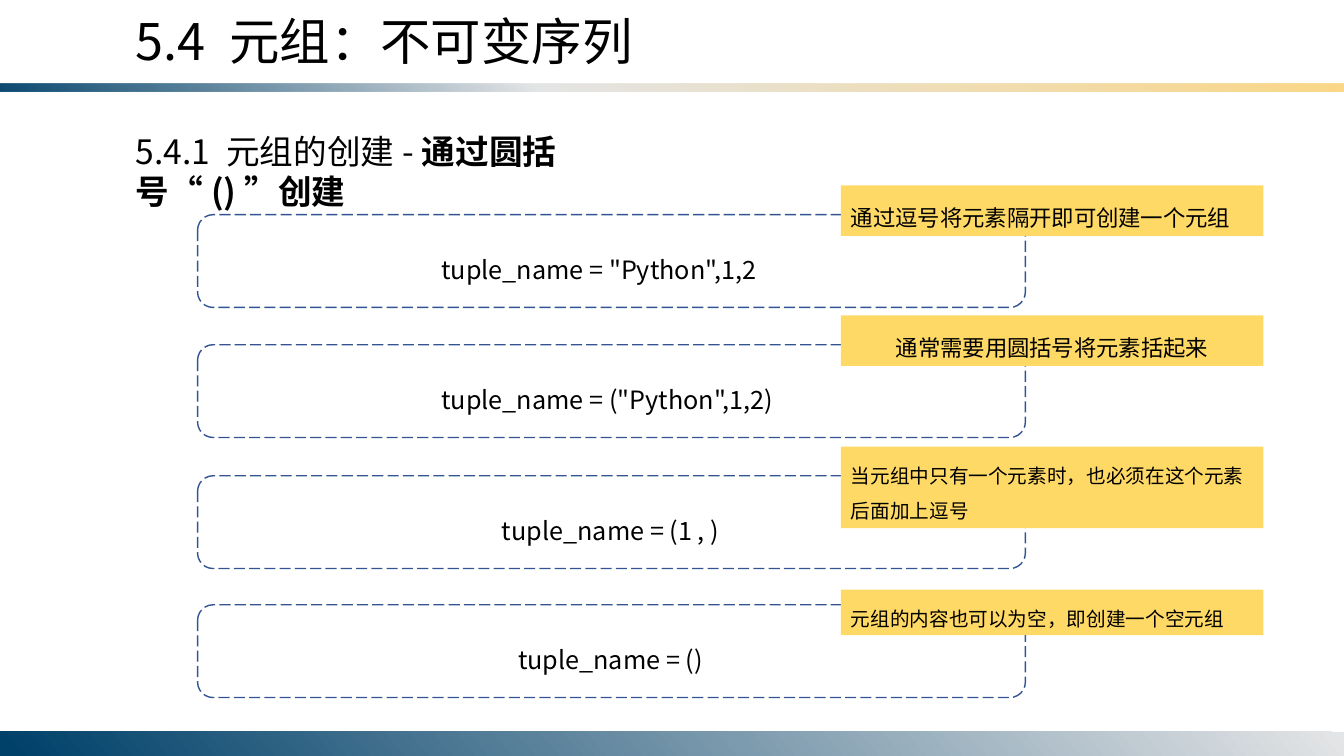
from lxml import etree
from pptx import Presentation
from pptx.dml.color import RGBColor
from pptx.enum.dml import MSO_LINE
from pptx.enum.shapes import MSO_SHAPE
from pptx.enum.text import MSO_AUTO_SIZE, PP_ALIGN
from pptx.oxml import parse_xml
from pptx.oxml.ns import nsdecls, qn
from pptx.util import Inches, Pt

RECTANGLE = MSO_SHAPE.RECTANGLE
ROUNDED = MSO_SHAPE.ROUNDED_RECTANGLE
LONG_DASH = MSO_LINE.LONG_DASH
FIT_SHAPE = MSO_AUTO_SIZE.SHAPE_TO_FIT_TEXT
LEFT, CENTER = PP_ALIGN.LEFT, PP_ALIGN.CENTER
FONT = "Noto Sans CJK SC"

deck = Presentation()
deck.slide_width, deck.slide_height = Inches(13.33), Inches(7.5)
page = deck.slides.add_slide(deck.slide_layouts[6])


def add_bar(top, height, stops, angle):
    """Full-width bar with a gradient of (percent, colour, opacity) stops."""
    bar = page.shapes.add_shape(RECTANGLE, 0, Inches(top), deck.slide_width, Inches(height))
    bar.shadow.inherit = False
    bar.line.fill.background()
    bar.fill.gradient()
    stop_xml = "".join(
        f'<a:gs pos="{percent * 1000}"><a:srgbClr val="{colour}">'
        f'<a:alpha val="{opacity * 1000}"/></a:srgbClr></a:gs>'
        for percent, colour, opacity in stops)
    gradient = parse_xml(
        f'<a:gradFill {nsdecls("a")} rotWithShape="1"><a:gsLst>{stop_xml}</a:gsLst>'
        f'<a:lin ang="{angle * 60000}" scaled="0"/></a:gradFill>')
    properties = bar._element.spPr
    properties.replace(properties.find(qn("a:gradFill")), gradient)
    return bar


def write(box, parts, size, spacing=1.0, align=LEFT):
    """Fill a box with one paragraph of (text, bold) parts."""
    frame = box.text_frame
    frame.word_wrap = True
    frame.auto_size = FIT_SHAPE
    para = frame.paragraphs[0]
    para.alignment = align
    para.line_spacing = spacing
    for text, bold in parts:
        span = para.add_run()
        span.text = text
        span.font.size = Pt(size)
        span.font.bold = bold
        span.font.name = FONT
        span.font.color.rgb = RGBColor.from_string("000000")
        properties = span.font._element
        properties.set("lang", "zh-CN")
        etree.SubElement(properties, qn("a:ea")).set("typeface", FONT)


# Header and footer bars
header = add_bar(0.83, 0.08, [(0, "00416A", 95), (40, "E4E5E6", 100), (100, "FBD786", 100)], 50)
header._element.spPr.find(qn("a:xfrm")).set("flipV", "1")
add_bar(7.26, 0.24, [(0, "E4E5E6", 100), (99, "00416A", 100)], 140)

# Title and section heading
title = page.shapes.add_textbox(Inches(1.25), Inches(0.05), Inches(6.12), Inches(0.71))
write(title, [("5.4 元组：不可变序列", False)], 36)
heading = page.shapes.add_textbox(Inches(1.25), Inches(1.25), Inches(5.65), Inches(0.5))
write(heading, [("5.4.1 元组的创建-", False), ("通过圆括号“()”创建", True)], 24)

# Examples: frame top, code, code left, code width,
# note, note top, note height, note size, note alignment
examples = [
    (2.13, 'tuple_name = "Python",1,2', 4.28, 3.57,
     "通过逗号将元素隔开即可创建一个元组", 1.84, 0.5, 16, LEFT),
    (3.42, 'tuple_name = ("Python",1,2)', 4.28, 3.57,
     "通常需要用圆括号将元素括起来", 3.13, 0.5, 16, CENTER),
    (4.72, "tuple_name = (1 , )", 4.88, 2.49,
     "当元组中只有一个元素时，也必须在这个元素后面加上逗号", 4.43, 0.81, 14, LEFT),
    (6.0, "tuple_name = ()", 5.04, 2.17,
     "元组的内容也可以为空，即创建一个空元组", 5.85, 0.45, 14, LEFT),
]
for top, code, code_left, code_width, note, note_top, note_height, note_size, align in examples:
    outline = page.shapes.add_shape(ROUNDED, Inches(1.96), Inches(top), Inches(8.21), Inches(0.92))
    outline.shadow.inherit = False
    outline.fill.background()
    outline.line.color.rgb = RGBColor.from_string("325491")
    outline.line.width = Pt(1)
    outline.line.dash_style = LONG_DASH

    code_box = page.shapes.add_textbox(
        Inches(code_left), Inches(top + 0.19), Inches(code_width), Inches(0.55))
    write(code_box, [(code, False)], 18, 1.5)

    note_box = page.shapes.add_shape(
        RECTANGLE, Inches(8.34), Inches(note_top), Inches(4.19), Inches(note_height))
    note_box.shadow.inherit = False
    note_box.fill.solid()
    note_box.fill.fore_color.rgb = RGBColor.from_string("FFD966")
    note_box.line.fill.background()
    write(note_box, [(note, False)], note_size, 1.5, align)

deck.save("out.pptx")
